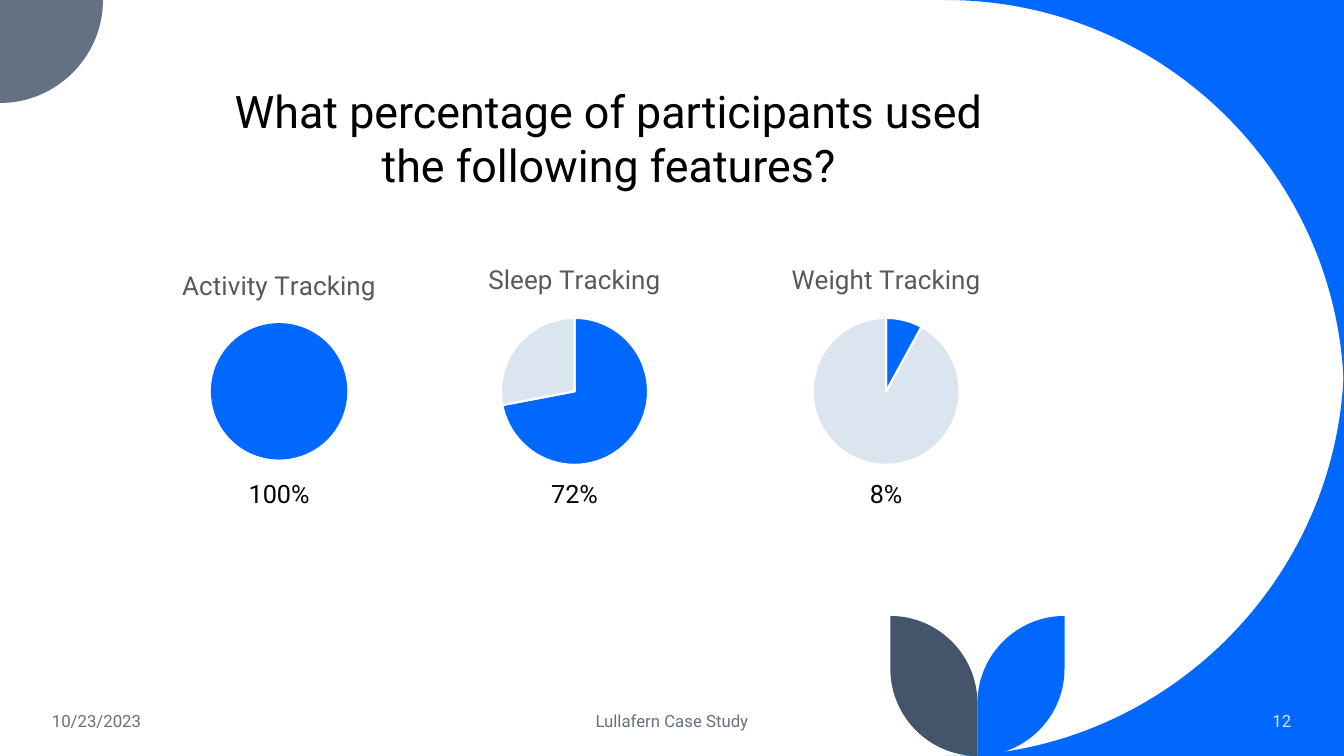
from dataclasses import dataclass

from lxml.etree import SubElement
from pptx import Presentation
from pptx.chart.data import CategoryChartData as ChartData
from pptx.dml.color import RGBColor as Color
from pptx.enum.chart import XL_CHART_TYPE as ChartType
from pptx.enum.text import MSO_ANCHOR as Anchor, PP_ALIGN as Align
from pptx.oxml.ns import qn
from pptx.util import Pt


@dataclass(frozen=True)
class Theme:
    """Colours, font and type sizes of the slide."""
    font: str = "Roboto"
    blue: str = "0068FF"
    pale: str = "DAE5EF"
    slate: str = "637183"
    navy: str = "44546A"
    dark: str = "434E5E"
    heading: str = "595959"
    black: str = "000000"
    white: str = "FFFFFF"
    title_size: float = 32
    chart_size: float = 18.6
    value_size: float = 18
    footer_size: float = 12


THEME = Theme()
WIDTH, HEIGHT = 960, 540
PIE_CENTRE = 279.6
ROUNDNESS = 0.55


def style_font(font, size, color):
    """Apply the theme font with a size and a colour."""
    font.name = THEME.font
    font.size = Pt(size)
    font.bold = False
    font.color.rgb = Color.from_string(color)


def quarter(start, corner, end):
    """Return the Bezier points of a quarter round bulging to a corner."""
    controls = [tuple(a + (b - a) * ROUNDNESS for a, b in zip(point, corner))
                for point in (start, end)]
    return [*controls, end]


def add_outline(page, start, segments, color):
    """Draw a filled outline; one point is a line, three are a curve."""
    builder = page.shapes.build_freeform(*map(Pt, start))
    builder.add_line_segments(
        [tuple(map(Pt, point)) for points in segments for point in points])
    shape = builder.convert_to_shape()
    lines = iter(list(shape._element.iter(qn("a:lnTo"))))
    for points in segments:
        steps = [next(lines) for _ in points]
        if len(steps) == 3:
            curve = steps[0].makeelement(qn("a:cubicBezTo"))
            steps[0].addprevious(curve)
            for step in steps:
                curve.append(step[0])
                step.getparent().remove(step)
    shape.shadow.inherit = False
    shape.fill.solid()
    shape.fill.fore_color.rgb = Color.from_string(color)
    shape.line.fill.background()


def add_leaf(page, side, color):
    """Draw a leaf to the right (side 1) or the left (side -1) of the stem."""
    stem, top, span, straight = 698.2, 440, 62.2, 37.8
    edge = stem + side * span
    tip, foot = (edge, top), (stem, HEIGHT)
    low, high = (edge, top + straight), (stem, HEIGHT - straight)
    segments = [[low], quarter(low, (edge, HEIGHT), foot),
                [high], quarter(high, (stem, top), tip)]
    add_outline(page, tip, segments, color)


def add_background(page):
    """Draw the blue sweep, the corner quarter and the two leaves."""
    radius, corner_radius = 284.4, 73.6
    for edge, middle in ((0, radius), (HEIGHT, HEIGHT - radius)):
        start, corner, end = (WIDTH - radius, edge), (WIDTH, edge), (WIDTH, middle)
        add_outline(page, start, [quarter(start, corner, end), [corner], [start]],
                    THEME.blue)
    start, end = (corner_radius, 0), (0, corner_radius)
    round_side = quarter(start, (corner_radius, corner_radius), end)
    add_outline(page, start, [round_side, [(0, 0)], [start]], THEME.slate)
    add_leaf(page, 1, THEME.blue)
    add_leaf(page, -1, THEME.navy)


def add_text(page, frame, text, size, color, align=Align.CENTER, anchor=Anchor.TOP):
    """Add a wrapped text box holding one paragraph."""
    box = page.shapes.add_textbox(*map(Pt, frame))
    box.text_frame.word_wrap = True
    box.text_frame.vertical_anchor = anchor
    para = box.text_frame.paragraphs[0]
    para.alignment = align
    span = para.add_run()
    span.text = text
    style_font(span.font, size, color)


def place_plot(chart, x, y, width, height):
    """Fix the inner plot area, as fractions of the chart frame."""
    plot_area = chart.plots[0]._element.getparent()
    layout = plot_area.find(qn("c:layout"))
    if layout is None:
        layout = plot_area.makeelement(qn("c:layout"))
        plot_area.insert(0, layout)
    manual = SubElement(layout, qn("c:manualLayout"))
    settings = {"layoutTarget": "inner", "xMode": "edge", "yMode": "edge",
                "x": x, "y": y, "w": width, "h": height}
    for name, value in settings.items():
        SubElement(manual, qn(f"c:{name}")).set("val", str(value))


def add_pie(page, frame, diameter, title, series_name, values):
    """Add a titled pie chart with its plot centred on the shared line."""
    data = ChartData()
    data.categories = ["1", "2", "3", "4"]
    data.add_series(series_name, values)
    chart = page.shapes.add_chart(ChartType.PIE, *map(Pt, frame), data).chart
    style_font(chart.font, 10, THEME.black)
    chart.has_legend = False
    chart.has_title = True
    span = chart.chart_title.text_frame.paragraphs[0].add_run()
    span.text = title
    style_font(span.font, THEME.chart_size, THEME.heading)
    chart.chart_title.include_in_layout = False
    chart.plots[0].vary_by_categories = True
    slices = chart.plots[0].series[0].points
    for i, color in enumerate((THEME.blue, THEME.pale, THEME.slate, THEME.dark)):
        part = slices[i].format
        part.fill.solid()
        part.fill.fore_color.rgb = Color.from_string(color)
        if values[1]:
            part.line.color.rgb = Color.from_string(THEME.white)
            part.line.width = Pt(1.5)
        else:
            part.line.fill.background()
    _, top, width, height = frame
    place_plot(chart, (1 - diameter / width) / 2,
               (PIE_CENTRE - diameter / 2 - top) / height,
               diameter / width, diameter / height)


def add_feature(page, left, top, height, diameter, title, series_name, values):
    """Add one feature: its pie and the percentage below."""
    width, label_width = 216, 80
    add_pie(page, (left, top, width, height), diameter, title, series_name, values)
    label_left = left + (width - label_width) / 2
    add_text(page, (label_left, 338.4, label_width, 29), f"{values[0]}%",
             THEME.value_size, THEME.black)


def add_footer(page):
    """Add the date, the deck name and the page number."""
    for left, width, text, color, align in (
            (30, 216, "10/23/2023", THEME.slate, Align.LEFT),
            (318, 324, "Lullafern Case Study", THEME.slate, Align.CENTER),
            (799.5, 130, "12", THEME.pale, Align.RIGHT)):
        add_text(page, (left, 500.5, width, 28.8), text, THEME.footer_size, color,
                 align, Anchor.MIDDLE)


def main():
    """Build and save the slide."""
    deck = Presentation()
    deck.slide_width, deck.slide_height = Pt(WIDTH), Pt(HEIGHT)
    page = deck.slides.add_slide(deck.slide_layouts[6])
    add_background(page)
    add_footer(page)
    for feature in (
            (91.4, 181.4, 157, 97.5, "Activity Tracking", "Activity Tracking",
             (100, 0, 0, 0)),
            (302.4, 177, 165.6, 105, "Sleep Tracking", "Sleep Tracking",
             (72, 28, None, None)),
            (525, 177, 165.6, 105, "Weight Tracking", "Series 1",
             (8, 92, None, None))):
        add_feature(page, *feature)
    add_text(page, (138.2, 56.2, 593.3, 85),
             "What percentage of participants used the following features?",
             THEME.title_size, THEME.black)
    deck.save("out.pptx")


main()
